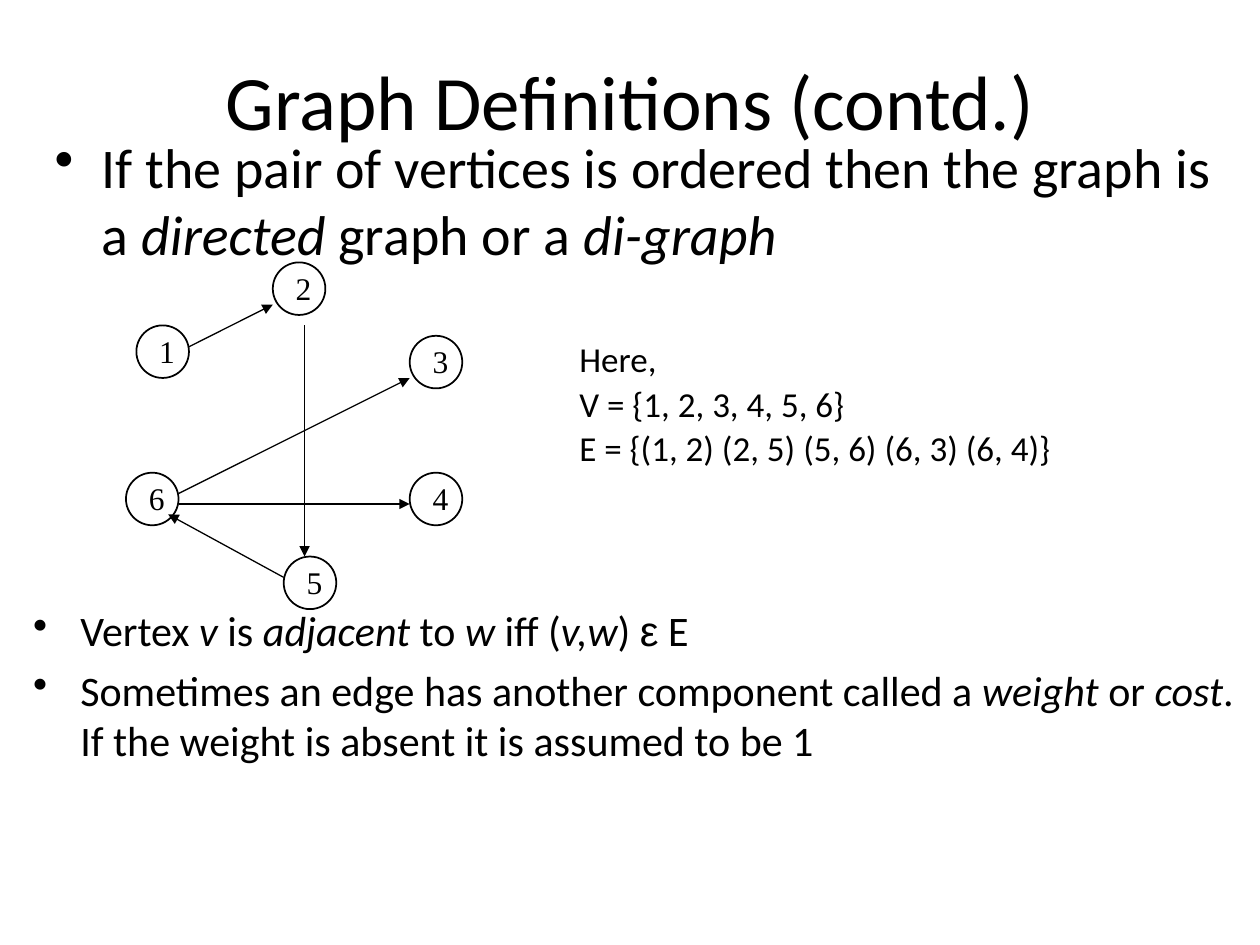
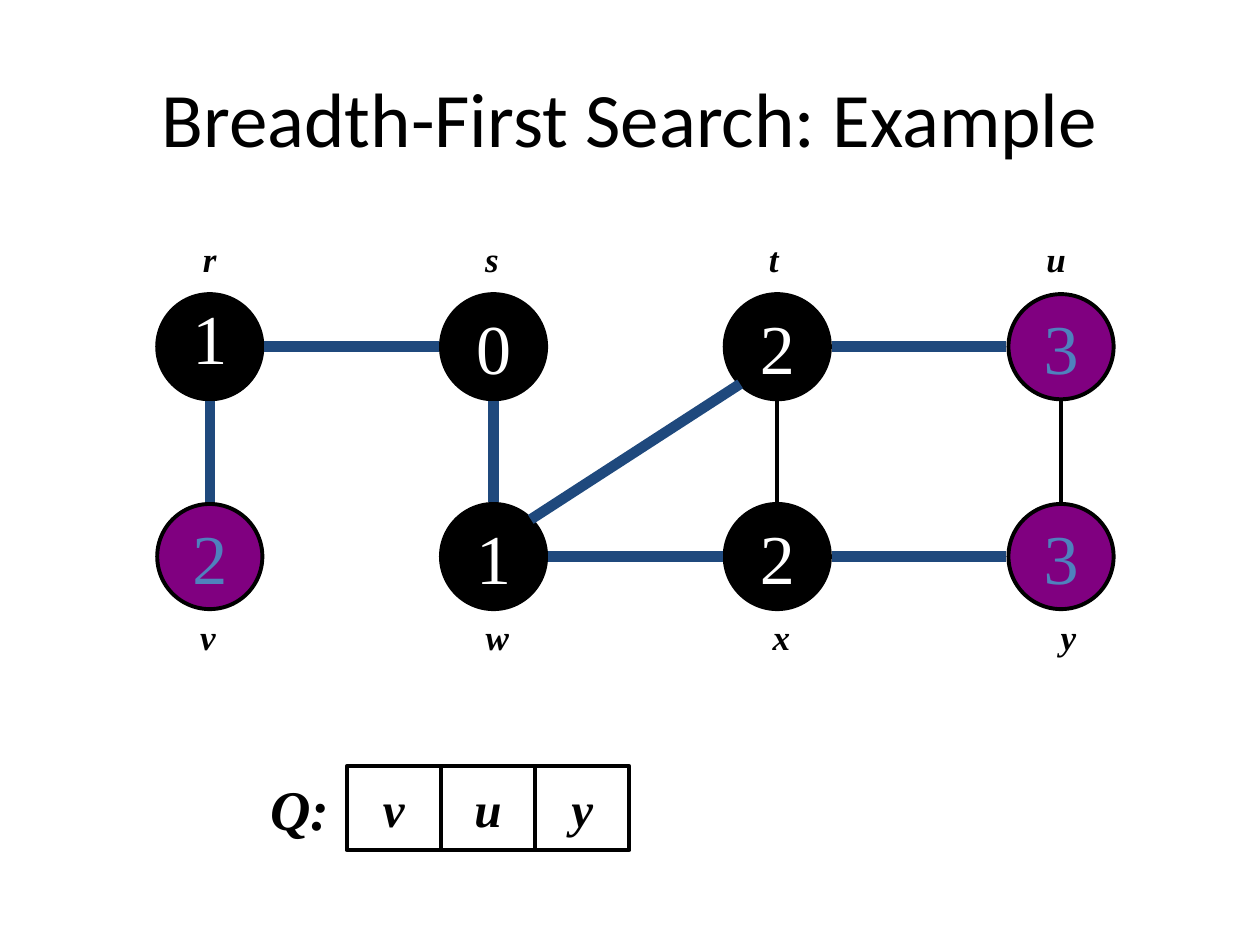
from lxml import etree
from pptx import Presentation
from pptx.dml.color import RGBColor
from pptx.enum.shapes import MSO_CONNECTOR, MSO_SHAPE
from pptx.enum.text import MSO_ANCHOR, PP_ALIGN
from pptx.oxml.ns import qn
from pptx.util import Cm, Pt

BLACK = RGBColor(0x00, 0x00, 0x00)
WHITE = RGBColor(0xFF, 0xFF, 0xFF)
PURPLE = RGBColor(0x80, 0x00, 0x80)
LIGHT_BLUE = RGBColor(0x4F, 0x81, 0xBD)
NAVY = RGBColor(0x1F, 0x49, 0x7D)
SANS, SERIF = "Calibri", "Times New Roman"
CENTERED = dict(align=PP_ALIGN.CENTER, anchor=MSO_ANCHOR.MIDDLE)


def add_text(slide, box, lines, size, font=SANS, color=BLACK, outline=None, fill=None,
             line_width=2.25, align=PP_ALIGN.LEFT, anchor=MSO_ANCHOR.TOP, wrap=True,
             bullets=False, strong=False, spacing=None):
    """Add a text box, or the outlined preset shape; *stars* mark italic words."""
    place = [Cm(length) for length in box]
    if outline is None:
        shape = slide.shapes.add_textbox(*place)
    else:
        shape = slide.shapes.add_shape(outline, *place)
        shape.shadow.inherit = False
        shape.line.color.rgb = BLACK
        shape.line.width = Pt(line_width)
        if fill is None:
            shape.fill.background()
        else:
            shape.fill.solid()
            shape.fill.fore_color.rgb = fill
    frame = shape.text_frame
    frame.word_wrap = wrap
    frame.vertical_anchor = anchor
    for i, line in enumerate(lines):
        paragraph = frame.add_paragraph() if i else frame.paragraphs[0]
        paragraph.alignment = align
        if spacing:
            paragraph.line_spacing = spacing
        if i:
            paragraph.space_before = Pt(round(size * 0.2))
        if bullets:
            properties = paragraph._p.get_or_add_pPr()
            properties.set("marL", str(Cm(0.95)))
            properties.set("indent", str(-Cm(0.95)))
            etree.SubElement(properties, qn("a:buChar")).set("char", "•")
        paragraph.font.name = font
        paragraph.font.size = Pt(size)
        paragraph.font.color.rgb = color
        if strong:
            paragraph.font.bold = paragraph.font.italic = True
        for part, words in enumerate(line.split("*")):
            for piece in filter(None, words.partition("ε")):
                run = paragraph.add_run()
                run.text = piece
                if part % 2:
                    run.font.italic = True
                if piece == "ε":
                    run.font.name = "Arial"


def add_edge(slide, start, end, color=BLACK, width=0.75, arrow=False):
    edge = slide.shapes.add_connector(
        MSO_CONNECTOR.STRAIGHT, *[Cm(length) for length in (*start, *end)])
    edge.line.color.rgb = color
    edge.line.width = Pt(width)
    properties = edge._element.spPr
    if arrow:
        etree.SubElement(properties.find(qn("a:ln")), qn("a:tailEnd")).set("type", "triangle")
    etree.SubElement(properties, qn("a:effectLst"))


prs = Presentation()
prs.slide_width, prs.slide_height = Cm(25.4), Cm(19.05)
definitions, search = [prs.slides.add_slide(prs.slide_layouts[6]) for _ in range(2)]

for slide, title, top in [(definitions, "Graph Definitions (contd.)", 0.43),
                          (search, "Breadth-First Search: Example", 0.76)]:
    add_text(slide, (1.27, top, 22.86, 3.18), [title], 44, **CENTERED)

# Directed graph with its definitions
add_text(definitions, (0.85, 2.54, 23.92, 3.18),
         ["If the pair of vertices is ordered then the graph is a *directed* graph or a *di-graph*"],
         32, bullets=True)

vertices = {"1": (2.75, 6.56), "2": (5.5, 5.29), "5": (5.72, 11.22),
            "6": (2.54, 9.53), "4": (8.26, 9.53), "3": (8.26, 6.77)}
for number, (x, y) in vertices.items():
    add_text(definitions, (x, y, 1.06, 1.06), [], 18, outline=MSO_SHAPE.OVAL, line_width=1)
    add_text(definitions, (x + 0.21, y, 0.85, 1.02), [number], 18, SERIF)

for start, end in [((3.81, 6.99), (5.5, 6.14)), ((6.14, 6.56), (6.14, 11.22)),
                   ((3.6, 9.95), (8.26, 7.62)), ((3.6, 10.16), (8.26, 10.16)),
                   ((5.72, 11.64), (3.39, 10.37))]:
    add_edge(definitions, start, end, arrow=True)

add_text(definitions, (11.43, 6.77, 11.64, 4.87),
         ["Here,", "V = {1, 2, 3, 4, 5, 6}", "E = {(1, 2) (2, 5) (5, 6) (6, 3) (6, 4)}"],
         20, spacing=0.9)
add_text(definitions, (0.42, 12.07, 24.98, 4.66),
         ["Vertex *v* is *adjacent* to *w* iff (*v,w*) ε E",
          "Sometimes an edge has another component called a *weight* or *cost*. "
          "If the weight is absent it is assumed to be 1"],
         24, bullets=True)

# Breadth-first search: name, distance, visited, centre of the name
DIAMETER = 2.12
rows = [(5.93, 4.66, [("r", "1", True, 4.23), ("s", "0", True, 9.92),
                      ("t", "2", True, 15.6), ("u", "3", False, 21.29)]),
        (10.16, 12.28, [("v", "2", False, 4.19), ("w", "1", True, 9.99),
                        ("x", "2", True, 15.75), ("y", "3", False, 21.54)])]
centers = {}
for top, name_top, nodes in rows:
    for column, (name, distance, visited, name_center) in enumerate(nodes):
        left = 3.17 + 5.72 * column
        centers[name] = (left + DIAMETER / 2, top + DIAMETER / 2)
        add_text(search, (left, top, DIAMETER, DIAMETER), [distance], 40, SERIF,
                 WHITE if visited else LIGHT_BLUE, MSO_SHAPE.OVAL,
                 BLACK if visited else PURPLE, wrap=False,
                 spacing=0.7 if name == "r" else None, **CENTERED)
        add_text(search, (name_center - 0.45, name_top, 0.9, 1.09), [name], 20, SERIF,
                 align=PP_ALIGN.CENTER, wrap=False, strong=True)

tree_edges = ["vr", "rs", "sw", "wt", "wx", "tu", "xy"]
for first, second in tree_edges + ["xt", "yu"]:
    (x1, y1), (x2, y2) = centers[first], centers[second]
    step_x = (x2 > x1) - (x2 < x1)
    step_y = (y2 > y1) - (y2 < y1)
    reach = 0.75 if step_x and step_y else 1.1
    in_tree = first + second in tree_edges
    add_edge(search, (x1 + reach * step_x, y1 + reach * step_y),
             (x2 - reach * step_x, y2 - reach * step_y),
             NAVY if in_tree else BLACK, 6 if in_tree else 2.25)

for i, entry in enumerate(["Q:", "v", "u", "y"]):
    add_text(search, (5.09 + 1.9 * i, 15.45, 1.9, 1.69), [entry], 28 if i else 32, SERIF,
             outline=MSO_SHAPE.RECTANGLE if i else None, wrap=False, strong=True, **CENTERED)

prs.save("out.pptx")
